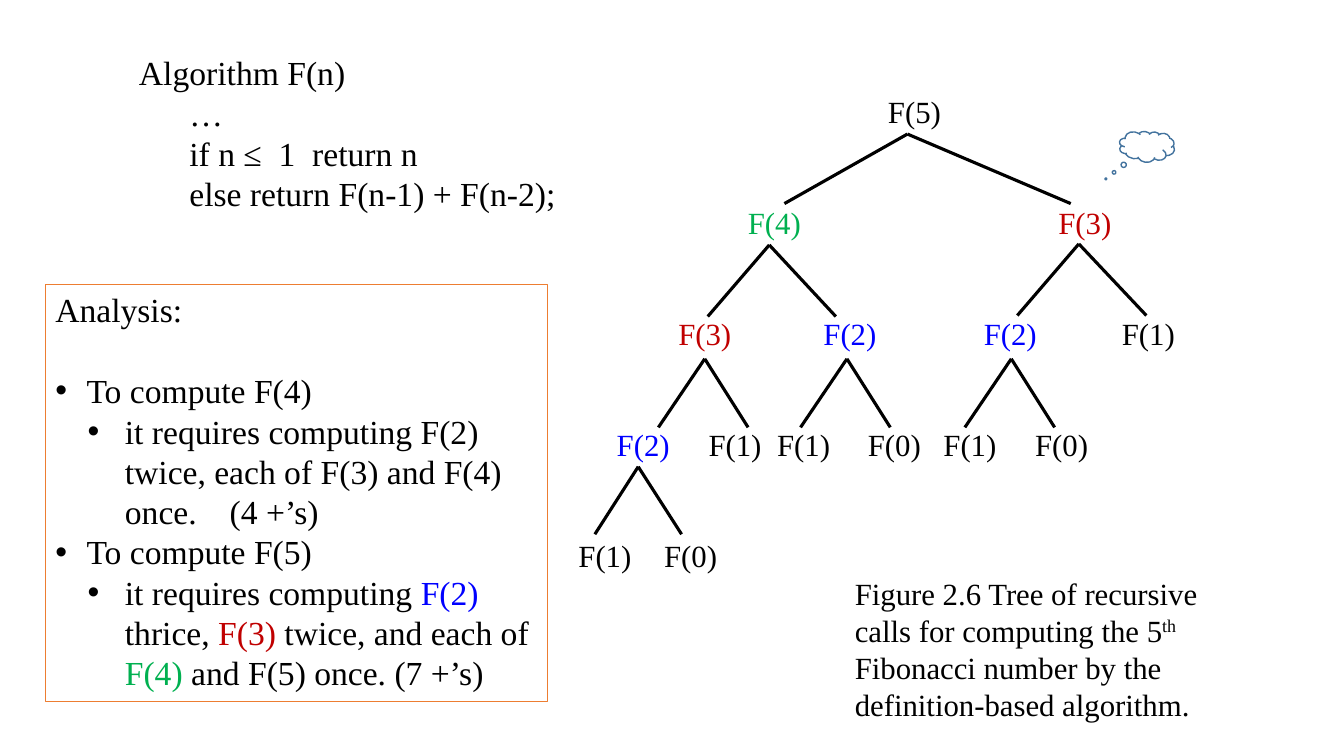
from lxml import etree
from pptx import Presentation
from pptx.dml.color import RGBColor
from pptx.enum import shapes, text
from pptx.oxml import ns
from pptx.util import Inches, Pt

BLACK, BLUE, RED, GREEN = "000000", "0000FF", "C00000", "00B050"


def color(value):
    return RGBColor.from_string(value)


def write(paragraph, content, size=24, fill=BLACK, margin=0, hanging=0,
          bullet=False, tab=None, before=0, raised=False, align=text.PP_ALIGN.LEFT):
    """Add one run of text and set the format of its paragraph."""
    properties = paragraph._p.get_or_add_pPr()
    if margin:
        properties.set("marL", str(Inches(margin)))
        properties.set("indent", str(Inches(-hanging)))
    if bullet:
        etree.SubElement(properties, ns.qn("a:buFont"), typeface="Arial")
        etree.SubElement(properties, ns.qn("a:buChar"), char="•")
    if tab:
        stops = etree.SubElement(properties, ns.qn("a:tabLst"))
        etree.SubElement(stops, ns.qn("a:tab"), pos=str(Inches(tab)), algn="l")
    if before:
        paragraph.space_before = Pt(before)
    paragraph.alignment = align
    run = paragraph.add_run()
    run.text = content
    run.font.name = "Times New Roman"
    run.font.size = Pt(size)
    run.font.color.rgb = color(fill)
    if raised:
        run.font._element.set("baseline", "30000")


presentation = Presentation()
presentation.slide_width = Inches(13.33)
presentation.slide_height = Inches(7.5)
slide = presentation.slides.add_slide(presentation.slide_layouts[6])

# Algorithm
algorithm = slide.shapes.add_textbox(Inches(0.78), Inches(0.47), Inches(4.89), Inches(1.72))
frame = algorithm.text_frame
frame.word_wrap = True
write(frame.paragraphs[0], "Algorithm F(n)", margin=0.5)
for line in ["…", "if n ≤  1  return n", "else return F(n-1) + F(n-2);"]:
    write(frame.add_paragraph(), line, margin=1)

# Tree labels, one list per level: text, centre, colour
levels = [
    [("F(5)", 9.07, BLACK)],
    [("F(4)", 7.68, GREEN), ("F(3)", 10.76, RED)],
    [("F(3)", 6.99, RED), ("F(2)", 8.43, BLUE), ("F(2)", 10.02, BLUE), ("F(1)", 11.39, BLACK)],
    [("F(2)", 6.38, BLUE), ("F(1)", 7.29, BLACK), ("F(1)", 7.97, BLACK),
     ("F(0)", 8.87, BLACK), ("F(1)", 9.62, BLACK), ("F(0)", 10.53, BLACK)],
    [("F(1)", 6.0, BLACK), ("F(0)", 6.85, BLACK)],
]
label_width, label_height = 0.7, 0.37
for depth, nodes in enumerate(levels):
    for name, center, fill in nodes:
        label = slide.shapes.add_textbox(
            Inches(center - label_width / 2), Inches(0.92 + 1.1 * depth),
            Inches(label_width), Inches(label_height))
        frame = label.text_frame
        frame.margin_left = frame.margin_right = frame.margin_top = frame.margin_bottom = 0
        frame.word_wrap = True
        write(frame.paragraphs[0], name, size=22, fill=fill, align=text.PP_ALIGN.CENTER)

# Tree branches: apex x, apex y, left foot x, right foot x, foot y
branches = [
    (9.0, 1.33, 7.78, 10.62, 2.02),
    (7.63, 2.43, 7.02, 8.29, 3.14),
    (10.7, 2.42, 10.09, 11.37, 3.13),
    (6.99, 3.56, 6.53, 7.42, 4.24),
    (8.4, 3.56, 7.94, 8.83, 4.24),
    (10.03, 3.56, 9.57, 10.46, 4.24),
    (6.33, 4.63, 5.9, 6.76, 5.3),
]
for apex_x, apex_y, left, right, foot_y in branches:
    for foot_x in (left, right):
        branch = slide.shapes.add_connector(
            shapes.MSO_CONNECTOR.STRAIGHT,
            Inches(apex_x), Inches(apex_y), Inches(foot_x), Inches(foot_y))
        branch.line.color.rgb = color(BLACK)
        branch.line.width = Pt(2.25)
        etree.SubElement(branch._element.spPr, ns.qn("a:effectLst"))

# Caption
caption = slide.shapes.add_textbox(Inches(8.38), Inches(5.65), Inches(4.04), Inches(1.58))
caption.text_frame.word_wrap = True
paragraph = caption.text_frame.paragraphs[0]
write(paragraph, "Figure 2.6 Tree of recursive calls for computing the 5", size=22)
write(paragraph, "th", size=22, raised=True)
write(paragraph, " Fibonacci number by the definition-based algorithm.", size=22)

# Thought cloud and analysis panel
cloud = slide.shapes.add_shape(
    shapes.MSO_SHAPE.CLOUD_CALLOUT, Inches(11.1), Inches(1.3), Inches(0.55), Inches(0.31))
cloud.rotation = 8.2
cloud.adjustments[0] = -0.65
cloud.adjustments[1] = 1.21
panel = slide.shapes.add_shape(
    shapes.MSO_SHAPE.RECTANGLE, Inches(0.45), Inches(2.82), Inches(4.98), Inches(4.14))
for shape, outline in [(cloud, "43739E"), (panel, "ED7D31")]:
    shape.shadow.inherit = False
    shape.fill.solid()
    shape.fill.fore_color.rgb = color("FFFFFF")
    shape.line.color.rgb = color(outline)
    shape.line.width = Pt(1)

# Analysis text
frame = panel.text_frame
frame.word_wrap = True
frame.vertical_anchor = text.MSO_ANCHOR.TOP
topic = dict(margin=0.31, hanging=0.31, bullet=True)
detail = dict(margin=0.69, hanging=0.37, bullet=True)
write(frame.paragraphs[0], "Analysis:")
write(frame.add_paragraph(), "To compute F(4)", before=29, **topic)
write(frame.add_paragraph(),
      "it requires computing F(2) twice, each of F(3) and F(4) once.\t(4 +’s)",
      tab=1.73, **detail)
write(frame.add_paragraph(), "To compute F(5)", **topic)
paragraph = frame.add_paragraph()
write(paragraph, "it requires computing ", **detail)
for content, fill in [("F(2) ", BLUE), ("thrice, ", BLACK), ("F(3) ", RED),
                      ("twice, and each of ", BLACK), ("F(4) ", GREEN),
                      ("and F(5) once. (7 +’s)", BLACK)]:
    write(paragraph, content, fill=fill)

presentation.save("out.pptx")
